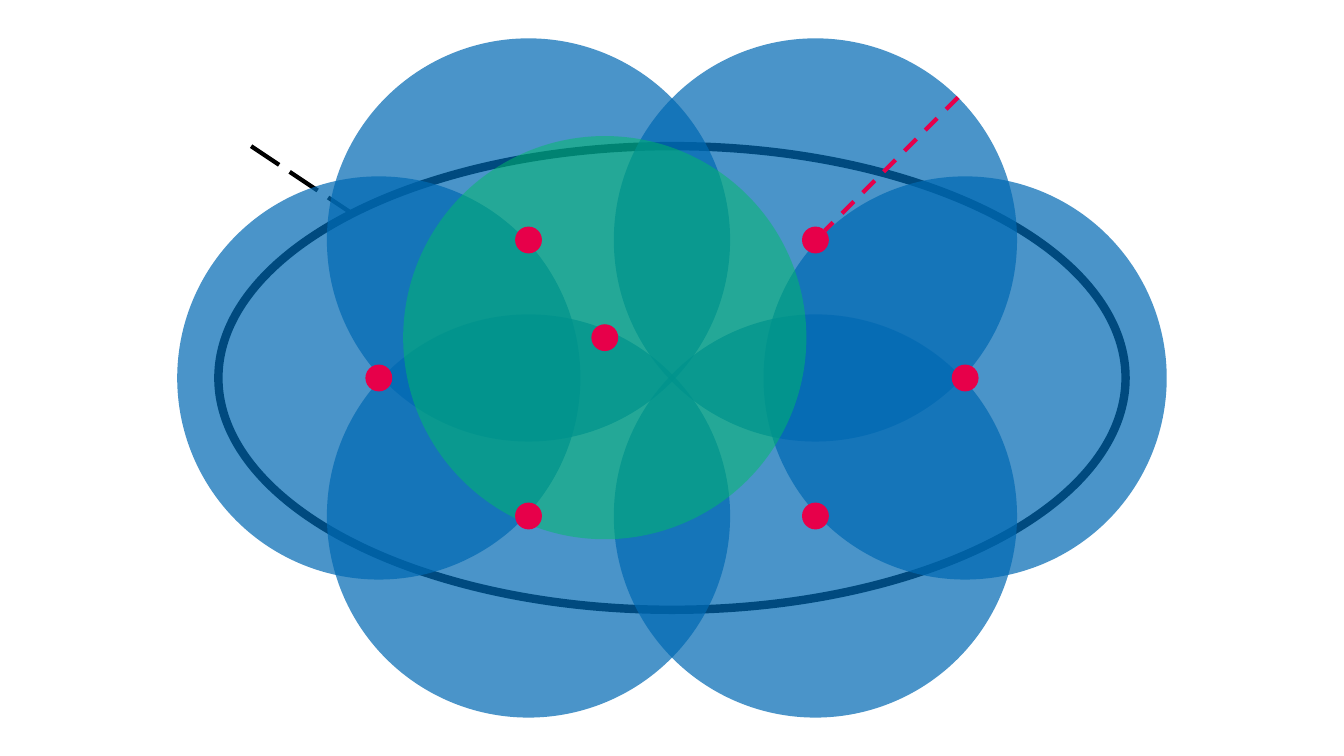
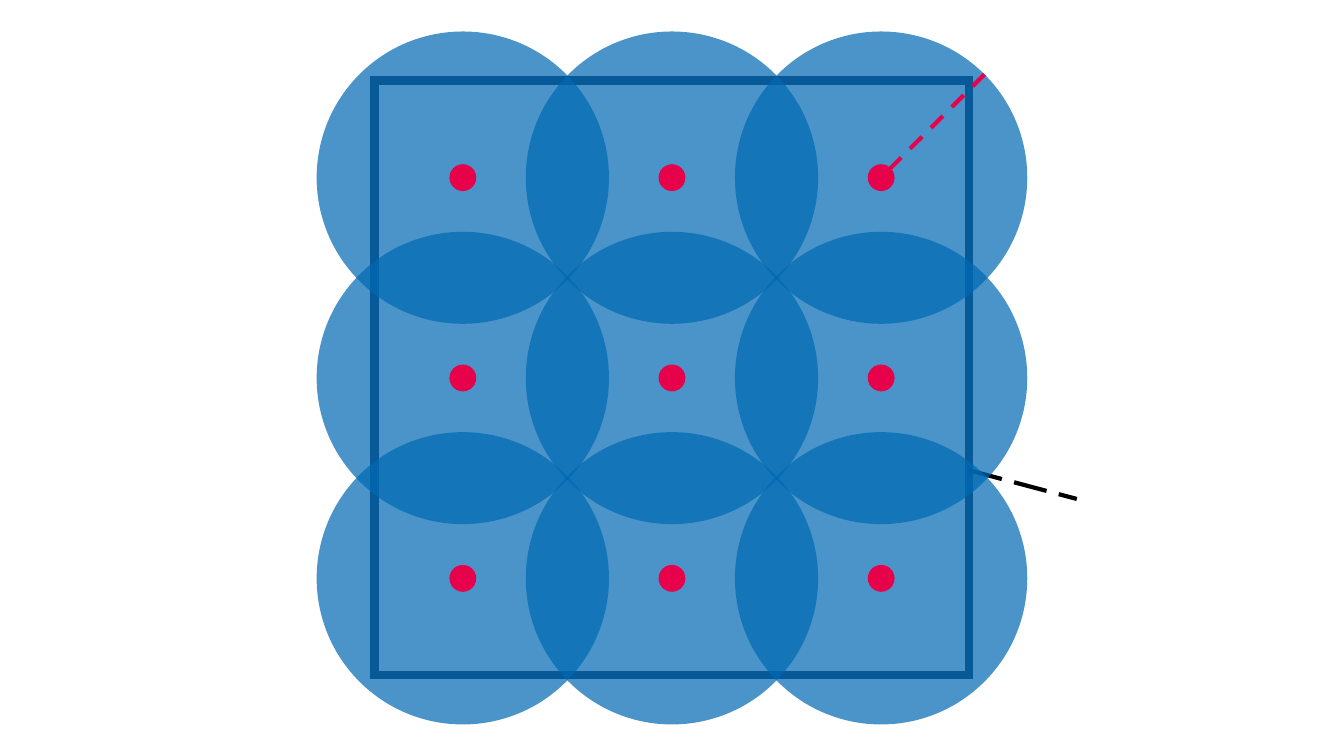
from itertools import product
from math import sqrt

from lxml import etree
from pptx import Presentation
from pptx.dml.color import RGBColor
from pptx.enum.dml import MSO_LINE
from pptx.enum.shapes import MSO_CONNECTOR, MSO_SHAPE
from pptx.oxml.ns import qn
from pptx.util import Inches, Pt

ELLIPSE, RECTANGLE = MSO_SHAPE.OVAL, MSO_SHAPE.RECTANGLE
STRAIGHT = MSO_CONNECTOR.STRAIGHT
DASH, LONG_DASH = MSO_LINE.DASH, MSO_LINE.LONG_DASH

COLORS = {
    "cover": "0069B3",
    "candidate": "00BD67",
    "center": "E7004A",
    "outline": "000000",
    "square": "1E3256",
}
COLUMNS, ROWS = 160, 90  # square cells, counted from the slide's centre
DOT = 3.2


class CoverDeck:
    """Style and current slide; places are cells right of and below the centre."""

    def __init__(self):
        self.deck = Presentation()
        self.deck.slide_width = Inches(13.333)
        self.deck.slide_height = Inches(7.5)
        self.page = None

    def new_page(self):
        self.page = self.deck.slides.add_slide(self.deck.slide_layouts[6])

    def place(self, column, row):
        return (round(self.deck.slide_width * (0.5 + column / COLUMNS)),
                round(self.deck.slide_height * (0.5 + row / ROWS)))

    def shape(self, kind, center, width, height):
        column, row = center
        left, top = self.place(column - width / 2, row - height / 2)
        right, bottom = self.place(column + width / 2, row + height / 2)
        shape = self.page.shapes.add_shape(kind, left, top, right - left, bottom - top)
        shape.shadow.inherit = False
        return shape

    def frame(self, kind, width, height, color):
        frame = self.shape(kind, (0, 0), width, height)
        frame.fill.background()
        frame.line.color.rgb = RGBColor.from_string(COLORS[color])
        frame.line.width = Pt(6)
        outline = frame.line._get_or_add_ln()
        etree.SubElement(outline, qn("a:miter"), lim="800000")

    def disc(self, center, size, color, opacity=100):
        disc = self.shape(ELLIPSE, center, size, size)
        disc.fill.solid()
        disc.fill.fore_color.rgb = RGBColor.from_string(COLORS[color])
        disc.line.fill.background()
        if opacity < 100:
            tint = disc.fill._xPr.find(".//" + qn("a:srgbClr"))
            etree.SubElement(tint, qn("a:alpha"), val=str(opacity * 1000))

    def dashed_line(self, start, end, color, dash):
        line = self.page.shapes.add_connector(
            STRAIGHT, *self.place(*start), *self.place(*end))
        line.line.color.rgb = RGBColor.from_string(COLORS[color])
        line.line.width = Pt(3)
        line.line.dash_style = dash
        etree.SubElement(line._element.spPr, qn("a:effectLst"))

    def leader(self, start, end):
        self.dashed_line(start, end, "outline", LONG_DASH)

    def dot(self, center):
        self.disc(center, DOT, "center")

    def radius(self, center, size):
        """Diagonal from the rim of a dot to the rim of its disc."""
        column, row = center
        outer, inner = (width / 2 / sqrt(2) for width in (size, DOT))
        self.dashed_line((column + outer, row - outer),
                         (column + inner, row - inner), "center", DASH)

    def covering(self, centers, size, extra=None):
        """Overlapping discs, then their centres and one marked radius."""
        for center in centers:
            self.disc(center, size, "cover", 71)
        if extra:
            self.disc(extra, size, "candidate", 50)
        for center in centers:
            self.dot(center)
        top_right = min(centers, key=lambda center: (center[1], -center[0]))
        self.radius(top_right, size)
        if extra:
            self.dot(extra)


def ellipse_page(show):
    show.new_page()
    show.frame(ELLIPSE, 108, 55.2, "outline")
    show.leader((-50.1, -27.6), (-38.1, -19.6))
    # Two discs on the long axis, four at the corners of a rectangle
    centers = [(-34.9, 0), (34.9, 0), *product((-17.08, 17.08), (-16.43, 16.43))]
    show.covering(centers, 48, extra=(-8, -4.8))


def square_page(show):
    show.new_page()
    show.frame(RECTANGLE, 70.8, 70.8, "square")
    show.leader((35.4, 11), (48.2, 14.4))
    # Three by three discs
    centers = [(24.9 * column, 23.85 * row)
               for row, column in product((1, 0, -1), repeat=2)]
    show.covering(centers, 34.8)


def main():
    show = CoverDeck()
    ellipse_page(show)
    square_page(show)
    show.deck.save("out.pptx")


if __name__ == "__main__":
    main()
